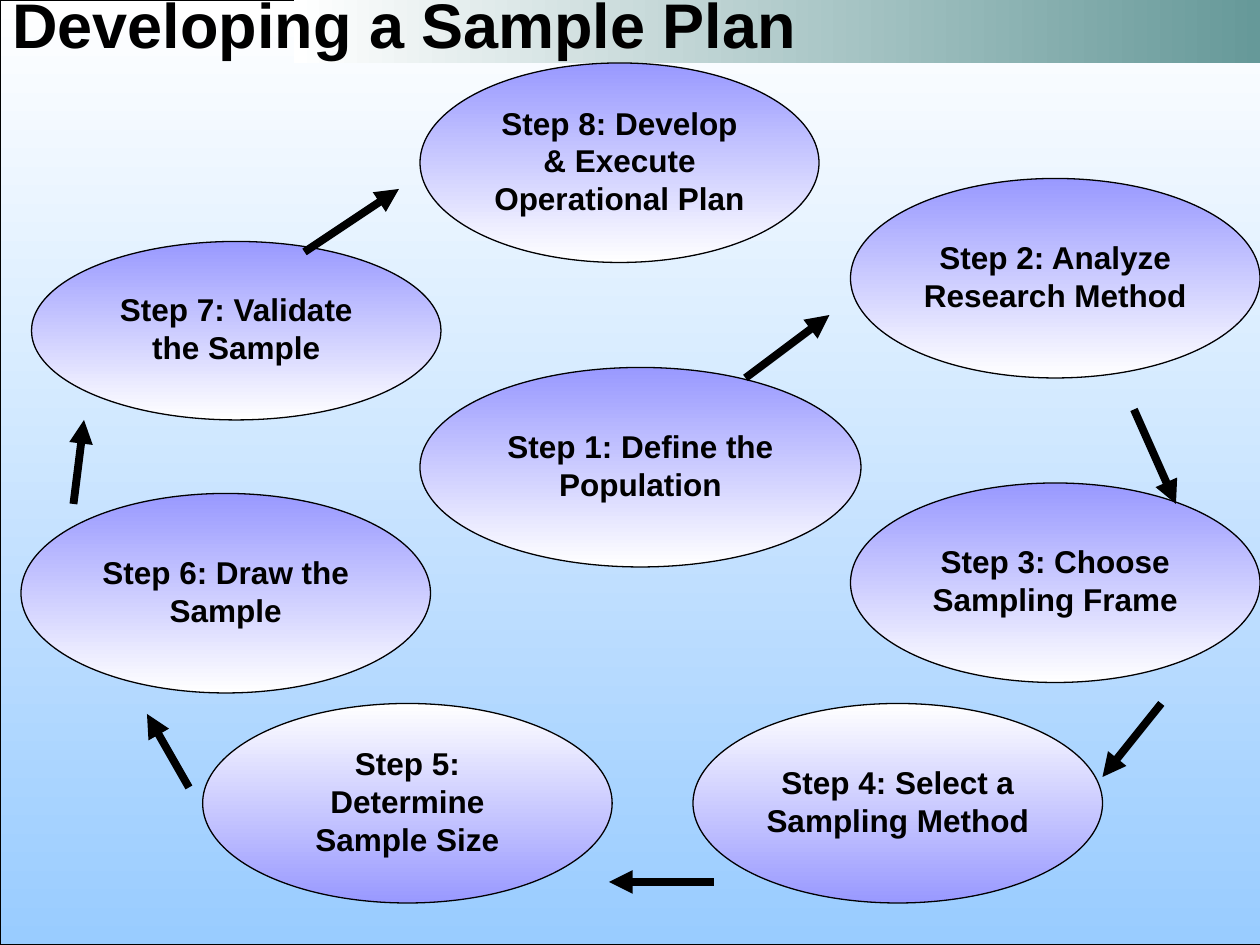
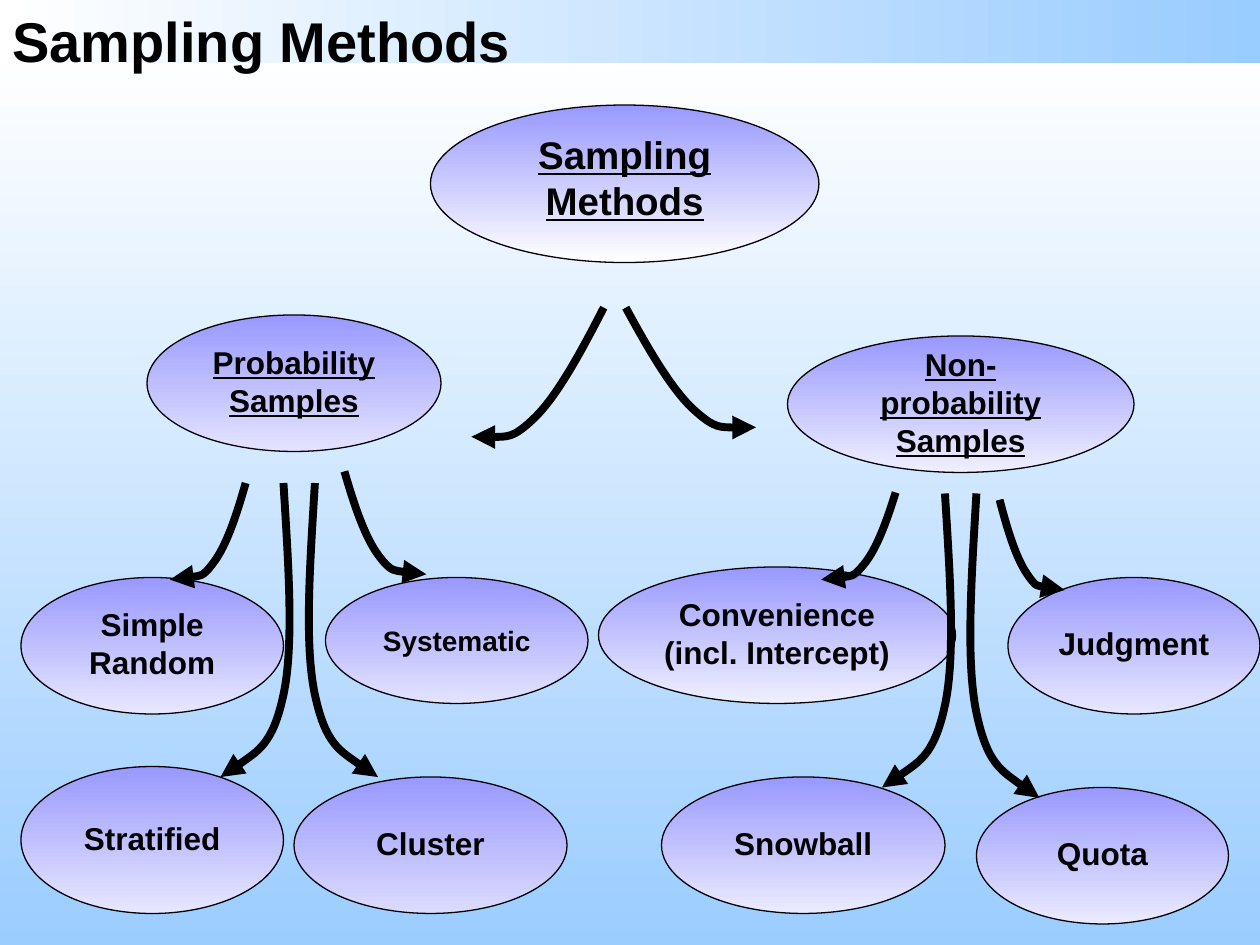
from lxml.etree import SubElement
from pptx import Presentation
from pptx.dml.color import RGBColor
from pptx.enum.shapes import MSO_CONNECTOR, MSO_SHAPE
from pptx.enum.text import MSO_ANCHOR, MSO_AUTO_SIZE, PP_ALIGN
from pptx.oxml.ns import qn
from pptx.util import Cm, Pt

BLACK = RGBColor(0x00, 0x00, 0x00)
WHITE = RGBColor(0xFF, 0xFF, 0xFF)
SKY = RGBColor(0x99, 0xCC, 0xFF)
TEAL = RGBColor(0x66, 0x99, 0x99)
LILAC = RGBColor(0x99, 0x99, 0xFF)
PALE = RGBColor(0xEF, 0xEF, 0xFF)
HAZE = RGBColor(0xEB, 0xEB, 0xFF)
MIST = RGBColor(0xE7, 0xE7, 0xFF)
VEIL = RGBColor(0xE3, 0xE3, 0xFF)
DUSK = RGBColor(0xDB, 0xDB, 0xFF)

FONT = "Arial"
CELL = 25.4 / 120  # grid step in cm: 120 by 90 steps fill a slide
DOWN, ACROSS = 270, 0

# Content: boxes are (left, top, width, height) in grid steps
PLAN = {
    "title": ("Developing a Sample Plan", 36, (0, -2, 94, 8.4)),
    "back": ((0, 0, 120.4, 90), BLACK),
    "band": ((28, 0, 92, 6), TEAL),
}
STEPS = [
    ("Step 1: Define the Population", (40, 35, 42, 19), LILAC, WHITE),
    ("Step 2: Analyze\nResearch Method", (81, 17, 39, 19), LILAC, WHITE),
    ("Step 3: Choose Sampling Frame", (81, 46, 39, 19), LILAC, WHITE),
    ("Step 4: Select a Sampling Method", (66, 67, 39, 19), WHITE, LILAC),
    ("Step 5: Determine Sample Size", (19.3, 67, 39, 19), WHITE, LILAC),
    ("Step 6: Draw the Sample", (2, 47, 39, 19), LILAC, WHITE),
    ("Step 7: Validate the Sample", (3, 23, 39, 17), LILAC, WHITE),
    ("Step 8: Develop & Execute Operational Plan", (40, 6, 38, 19),
     LILAC, WHITE),
]
ARROWS = [
    (71, 36, 79, 30), (108, 39, 112, 48), (110.6, 67, 105, 74),
    (68, 84, 58, 84), (18, 75, 14, 68), (7, 48, 8, 40), (29, 24, 38, 18),
]

TREE = {
    "title": ("Sampling Methods", 32, (0, 0, 95.5, 7.7)),
    "back": ((0, 5, 120, 87), None),
    "band": ((0, 0, 120, 6), SKY),
}
# Text, box, lower colour, size, underline
NODES = [
    ("Sampling Methods", (41, 10, 37, 15), WHITE, 22, True),
    ("Probability Samples", (14, 30, 28, 13), VEIL, 18, True),
    ("Simple Random", (2, 55, 25, 13), MIST, 18, False),
    ("Stratified", (2, 73, 25, 14), MIST, 18, False),
    ("Systematic", (31, 55, 25, 12), VEIL, 16, False),
    ("Cluster", (28, 74, 26, 13), DUSK, 18, False),
    ("Non-probability Samples", (75, 32, 33, 13), PALE, 18, True),
    ("Convenience\n(incl. Intercept)", (57, 54, 34, 13), PALE, 18, False),
    ("Snowball", (63, 74, 27, 13), HAZE, 18, False),
    ("Judgment", (96, 55, 24, 13), MIST, 18, False),
    ("Quota", (93, 75, 24, 13), HAZE, 18, False),
]
# Bezier points as shares of the way from start to end
FORK = [(.17, .34), (.35, .68), (.52, .85), (.69, 1.02), (.84, 1.01), (1, 1)]
HOOK = [(.12, .33), (.25, .64), (.42, .82), (.58, .99), (.79, .99), (1, 1)]
LONG = [(-.08, .28), (-.17, .55), (0, .72), (.17, .89), (.58, .94), (1, 1)]
BENDS = [
    (FORK, (57.5, 29.3, 44.9, 41.6)), (FORK, (59.6, 29.3, 72, 40.7)),
    (HOOK, (23.4, 46, 16.2, 55.2)), (HOOK, (32.8, 44.9, 40.6, 54.7)),
    (HOOK, (85.3, 46.9, 78.2, 55.2)), (HOOK, (95.2, 47.6, 101.4, 56.2)),
    (LONG, (27, 46, 21, 74)), (LONG, (30, 46, 36, 74)),
    (LONG, (90, 47, 84, 75)), (LONG, (93, 47, 99, 76)),
]


def grid(nums):
    return [Cm(n * CELL) for n in nums]


def style(item, look):
    for key, value in look.items():
        setattr(item, key, value)


def write(frame, text, size, align, look, line=False):
    """Put text into a frame and format every paragraph."""
    style(frame, {"text": text, "word_wrap": True,
                  "auto_size": MSO_AUTO_SIZE.NONE,
                  "margin_left": Cm(0.25), "margin_right": Cm(0.25), **look})
    for para in frame.paragraphs:
        para.alignment = align
        style(para.font, {"name": FONT, "size": Pt(size), "bold": True,
                          "underline": line})
        para.font.color.rgb = BLACK


def shade(slide, kind, box, first, last, angle, edge):
    """Add a shape with a two-colour gradient."""
    shape = slide.shapes.add_shape(kind, *grid(box))
    shape.shadow.inherit = False
    shape.fill.gradient()
    shape.fill.gradient_angle = angle
    for stop, color in zip(shape.fill.gradient_stops, (first, last)):
        stop.color.rgb = color
    if edge is None:
        shape.line.fill.background()
    else:
        shape.line.color.rgb = edge
        shape.line.width = Pt(0.75)
    return shape


def oval(slide, text, box, first, last, size=18, line=False):
    shape = shade(slide, MSO_SHAPE.OVAL, box, first, last, DOWN, BLACK)
    # Text sits slightly above the middle, more so when larger
    lift = {"margin_top": 0, "margin_bottom": Cm(size * 0.04 - 0.62),
            "vertical_anchor": MSO_ANCHOR.MIDDLE}
    write(shape.text_frame, text, size, PP_ALIGN.CENTER, lift, line)


def point(item):
    """Give a line its black stroke and arrowhead."""
    item.line.color.rgb = BLACK
    item.line.width = Pt(4.5)
    stroke = item.element.spPr.find(qn("a:ln"))
    SubElement(stroke, qn("a:tailEnd"), type="triangle")


def arrow(slide, ends):
    item = slide.shapes.add_connector(MSO_CONNECTOR.STRAIGHT, *grid(ends))
    point(item)
    SubElement(item.element.spPr, qn("a:effectLst"))


def bend(slide, shares, ends):
    """Draw a curved arrow of two Bezier pieces."""
    x, y, right, low = grid(ends)
    dots = [(x + (right - x) * u, y + (low - y) * v) for u, v in shares]
    pen = slide.shapes.build_freeform(x, y)
    pen.add_line_segments(dots, close=False)
    item = pen.convert_to_shape()
    item.shadow.inherit = False
    item.fill.background()
    point(item)
    # Each three straight pieces become one cubic curve
    legs = list(item.element.iter(qn("a:lnTo")))
    route = legs[0].getparent()
    for i in range(0, len(legs), 3):
        curve = SubElement(route, qn("a:cubicBezTo"))
        for leg in legs[i:i + 3]:
            curve.append(leg[0])
            route.remove(leg)


def start(deck, page):
    """Add a slide with its backdrop, top band and title."""
    slide = deck.slides.add_slide(deck.slide_layouts[5])
    box, edge = page["back"]
    shade(slide, MSO_SHAPE.RECTANGLE, box, WHITE, SKY, DOWN, edge)
    box, color = page["band"]
    shade(slide, MSO_SHAPE.RECTANGLE, box, WHITE, color, ACROSS, None)
    text, size, box = page["title"]
    title = slide.shapes.title
    style(title, dict(zip(("left", "top", "width", "height"), grid(box))))
    look = {"margin_top": Cm(0.13), "margin_bottom": Cm(0.13),
            "vertical_anchor": MSO_ANCHOR.TOP}
    write(title.text_frame, text, size, PP_ALIGN.LEFT, look)
    title.element.getparent().append(title.element)  # bring to front
    return slide


def main():
    deck = Presentation()
    deck.slide_width, deck.slide_height = Cm(25.4), Cm(19.05)

    # Eight steps joined by arrows
    slide = start(deck, PLAN)
    for step in STEPS:
        oval(slide, *step)
    for ends in ARROWS:
        arrow(slide, ends)

    # Tree of sampling methods
    slide = start(deck, TREE)
    for text, box, last, size, line in NODES:
        oval(slide, text, box, LILAC, last, size, line)
    for shares, ends in BENDS:
        bend(slide, shares, ends)

    deck.save("out.pptx")


if __name__ == "__main__":
    main()
